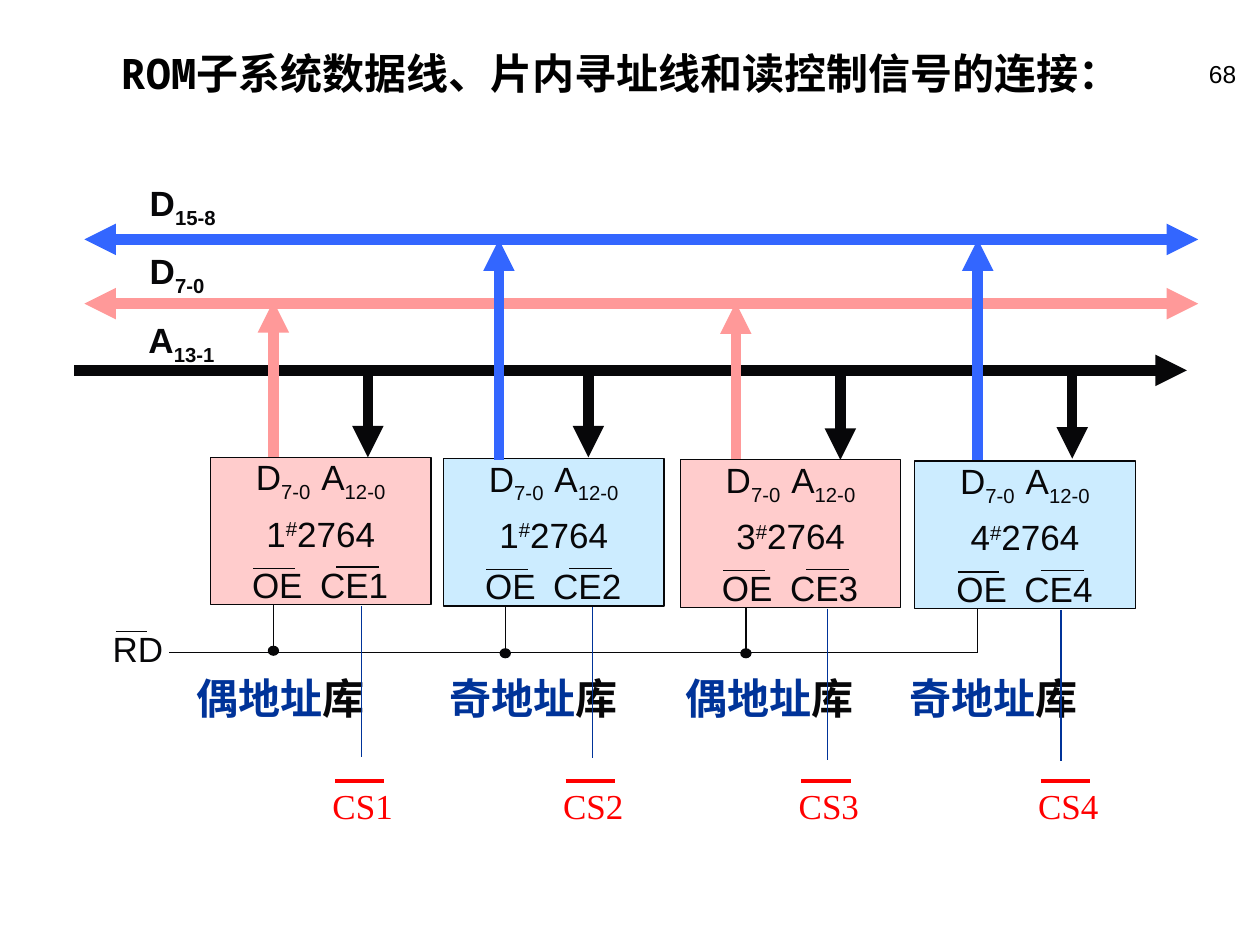
from pptx import Presentation, util as u
from pptx.dml.color import RGBColor
from pptx.enum import shapes, text
from pptx.oxml.ns import qn
from lxml import etree

COLORS = {
    "ink": "070709", "black": "000000", "blue": "3366FF", "pink": "FF9999",
    "odd": "CCECFF", "even": "FFCCCC", "navy": "003399", "red": "FF0000",
}
SUB, SUP = -25000, 30000
LEFT, CENTER, RIGHT = text.PP_ALIGN.LEFT, text.PP_ALIGN.CENTER, text.PP_ALIGN.RIGHT


class Diagram:
    """Holds the house style and the slide being drawn."""

    def __init__(self, slide, font="Arial", size=20):
        self.s, self.font, self.size = slide, font, size

    def rgb(self, name):
        return RGBColor.from_string(COLORS[name])

    def add_runs(self, tf, runs, color="ink", size=None, font=None, bold=False,
                 align=LEFT, spacing=None, tabs=()):
        p = tf.paragraphs[0]
        if tabs:
            stops = etree.SubElement(p._p.get_or_add_pPr(), qn("a:tabLst"))
            for pos in tabs:
                etree.SubElement(stops, qn("a:tab"), pos=str(u.Inches(pos)), algn="l")
        p.alignment = align
        if spacing:
            p.line_spacing = spacing
        for content, base, tint in runs:
            r = p.add_run()
            r.text = content
            r.font.name, r.font.size = font or self.font, u.Pt(size or self.size)
            r.font.bold = bold
            r.font.color.rgb = self.rgb(tint or color)
            if base:
                r.font._element.set("baseline", str(base))

    def label(self, x, y, w, h, runs, wrap=True, inset=0.1, **style):
        sp = self.s.shapes.add_textbox(*map(u.Inches, (x, y, w, h)))
        tf = sp.text_frame
        tf.word_wrap, tf.margin_left = wrap, u.Inches(inset)
        self.add_runs(tf, runs, **style)

    def shape(self, kind, x, y, w, h, fill):
        sp = self.s.shapes.add_shape(kind, *map(u.Inches, (x, y, w, h)))
        sp.shadow.inherit = False
        sp.fill.solid()
        sp.fill.fore_color.rgb = self.rgb(fill)
        sp.line.color.rgb = self.rgb("ink")
        sp.line.width = u.Pt(0.75)
        return sp

    def line(self, x1, y1, x2, y2, color="ink", width=0.75, ends=()):
        c = self.s.shapes.add_connector(
            shapes.MSO_CONNECTOR.STRAIGHT, *map(u.Inches, (x1, y1, x2, y2)))
        c.line.color.rgb, c.line.width = self.rgb(color), u.Pt(width)
        sp_pr = c._element.spPr
        for end in ends:
            etree.SubElement(sp_pr.find(qn("a:ln")), qn(f"a:{end}"), type="triangle")
        etree.SubElement(sp_pr, qn("a:effectLst"))

    def chip(self, x, y, number, enable, fill):
        sp = self.shape(shapes.MSO_SHAPE.RECTANGLE, x, y, 1.75, 1.17, fill)
        sp.text_frame.word_wrap = False
        sp.text_frame.vertical_anchor = text.MSO_ANCHOR.MIDDLE
        self.add_runs(sp.text_frame,
                      [(number, 0, None), ("#", SUP, None), ("2764", 0, None)],
                      align=CENTER, spacing=1.1)
        self.label(x, y - 0.1, 1.75, 0.52,
                   [("D", 0, None), ("7-0\t", SUB, None), ("A", 0, None), ("12-0", SUB, None)],
                   inset=0.36, spacing=1.1, tabs=[0.52])
        self.label(x, y + 0.76, 1.75, 0.52, [(f"OE\t{enable}", 0, None)],
                   inset=0.33, spacing=1.1, tabs=[0.54])
        self.line(x + 0.34, y + 0.88, x + 0.67, y + 0.88)
        self.line(x + 1, y + 0.87, x + 1.34, y + 0.87)

    def bus_name(self, x, y, letter, bits):
        self.label(x, y, 0.83, 0.48, [(letter, 0, None), (bits, SUB, None)], bold=True)


def main():
    prs = Presentation()
    prs.slide_width, prs.slide_height = u.Inches(10), u.Inches(7.5)
    d = Diagram(prs.slides.add_slide(prs.slide_layouts[6]))

    d.label(0.86, 0.33, 8.55, 0.5,
            [("ROM子系统数据线、片内寻址线和读控制信号的连接：", 0, None)],
            color="black", size=24, font="Noto Sans Mono", bold=True)
    d.label(7.83, 0.42, 2.08, 0.5, [("68", 0, None)], color="black", size=14, align=RIGHT)

    chip_x = [1.67, 3.52, 5.4, 7.26]
    tops = [3.63 + 0.01 * i for i in range(4)]
    for i, (x, top, number) in enumerate(zip(chip_x, tops, "1134")):
        d.chip(x, top, number, f"CE{i + 1}", ("even", "odd")[i % 2])

    for y, color in ((1.9, "blue"), (2.41, "pink")):
        d.line(0.67, y, 9.51, y, color, 6, ("headEnd", "tailEnd"))
    d.line(0.59, 2.94, 9.42, 2.94, "ink", 6, ("tailEnd",))
    for x, y in zip((2.92, 4.67, 6.67, 8.51), (2.94, 2.94, 2.96, 2.95)):
        d.line(x, y, x, y + 0.69, "ink", 6, ("tailEnd",))
    for x, y, bottom, color in ((2.17, 2.39, 3.63, "pink"), (5.84, 2.4, 3.64, "pink"),
                                (3.96, 1.9, 3.65, "blue"), (7.76, 1.9, 3.65, "blue")):
        d.line(x, y, x, bottom, color, 6, ("headEnd",))
    for x, y, letter, bits in ((1.09, 1.39, "D", "15-8"), (1.09, 1.93, "D", "7-0"),
                               (1.08, 2.48, "A", "13-1")):
        d.bus_name(x, y, letter, bits)

    read_x = [2.17, 4.01, 5.92, 7.76]
    for x, top in zip(read_x, tops):
        d.line(x, top + 1.17, x, top + 1.52)
    d.line(read_x[-1], 5.18, 1.34, 5.18)
    for x, y in zip(read_x[:-1], (5.13, 5.15, 5.15)):
        d.shape(shapes.MSO_SHAPE.OVAL, x - 0.04, y, 0.08, 0.07, "ink")
    d.label(0.76, 4.9, 0.67, 0.47, [("RD", 0, None)], align=CENTER, spacing=1.1)
    d.line(0.92, 5.01, 1.17, 5.01)

    banks = []
    for parity, gap in zip("偶奇偶奇", ("\t", "\t", "\t", "")):
        banks += [(parity + "地址", 0, "navy"), ("库" + gap, 0, "ink")]
    d.label(1.46, 5.25, 7.42, 0.54, banks, size=24, font="Times New Roman",
            bold=True, spacing=1.1, tabs=[2.01, 3.88, 5.66])

    select_x = [2.87, 4.7, 6.57, 8.42]
    name_x = [2.54, 4.37, 6.24, 8.14]
    for i, (x, left) in enumerate(zip(select_x, name_x)):
        y = tops[i] + 1.18
        d.line(x, y, x, y + 1.2, "navy")
        d.label(left, 6.18, 0.68, 0.44, [(f"CS{i + 1}", 0, None)],
                wrap=False, color="red", font="Times New Roman")
        d.line(left + 0.12, 6.2, left + 0.51, 6.2, "red", 2.25)

    prs.save("out.pptx")


if __name__ == "__main__":
    main()
